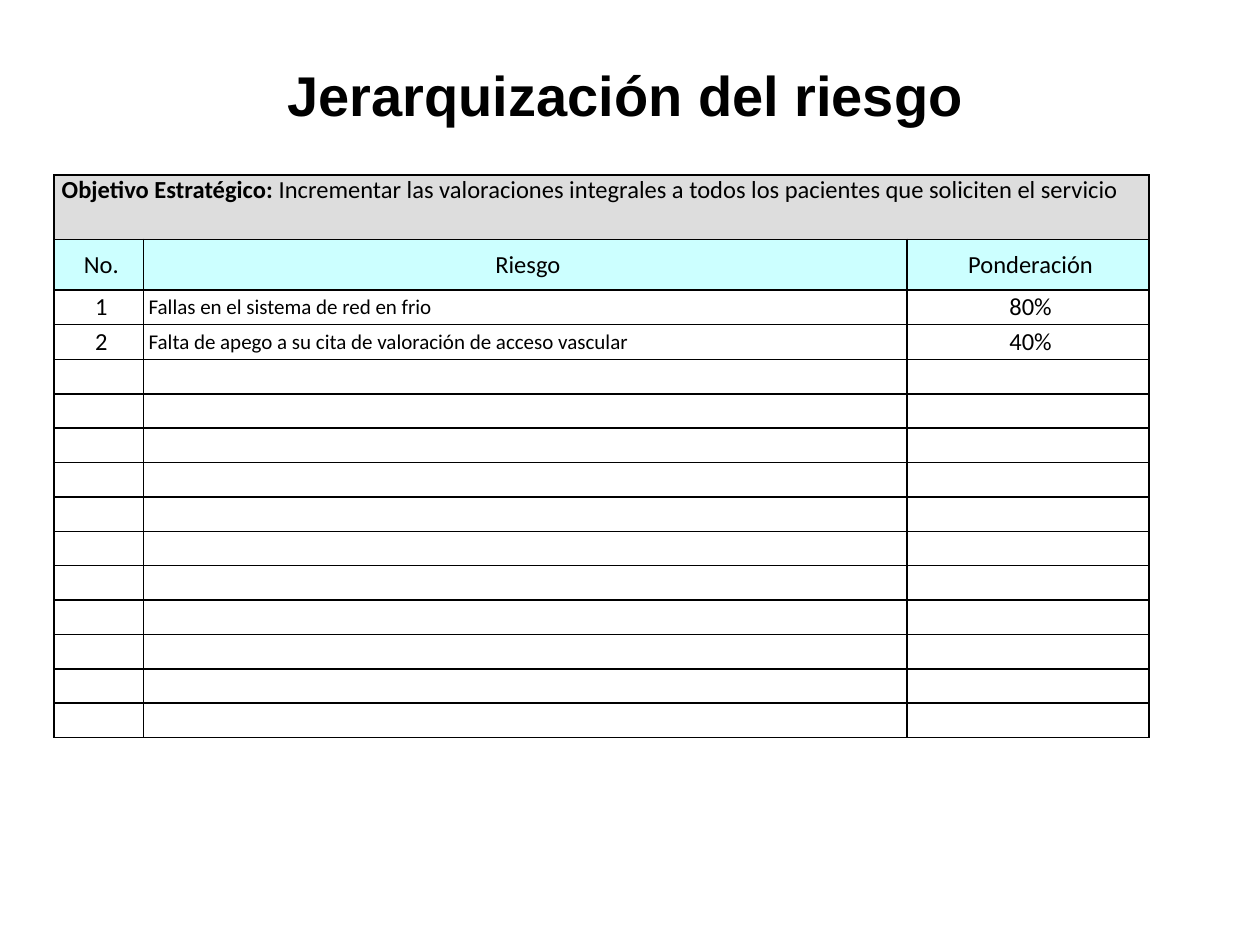
from dataclasses import dataclass

from lxml.etree import SubElement
from pptx import Presentation
from pptx.dml.color import RGBColor as RGB
from pptx.enum.text import MSO_ANCHOR as Anchor, PP_ALIGN as Align
from pptx.oxml.ns import qn
from pptx.util import Inches, Pt

TITLE = "Jerarquización del riesgo"
OBJECTIVE = (
    ("Objetivo Estratégico: ", True),
    ("Incrementar las valoraciones integrales a todos los pacientes "
     "que soliciten el servicio", False),
)
HEADINGS = ("No.", "Riesgo", "Ponderación")
RISKS = [
    ("1", "Fallas en el sistema de red en frio", "80%"),
    ("2", "Falta de apego a su cita de valoración de acceso vascular", "40%"),
]
EMPTY_ROWS = 11

COLUMN_WIDTHS = (0.71, 6.06, 1.92)
OBJECTIVE_HEIGHT, HEADING_HEIGHT, RISK_HEIGHT = 0.51, 0.4, 0.273
TABLE_LEFT, TABLE_TOP = 0.43, 1.39
CENTRED_INSETS = (0.06, 0.02, 0.02, 0.02)
RISK_INSETS = (0.04, 0.02, 0.04, 0.02)


@dataclass(frozen=True)
class Theme:
    ink: RGB = RGB(0, 0, 0)
    objective_fill: RGB = RGB(0xDD, 0xDD, 0xDD)
    heading_fill: RGB = RGB(0xCC, 0xFF, 0xFF)
    title_font: str = "Arial"
    table_font: str = "Calibri"
    title_size: int = 32
    table_size: int = 14
    risk_size: int = 12
    border_width: int = 1


THEME = Theme()


def write(frame, pieces, *, size=THEME.table_size, font=THEME.table_font,
          align=Align.CENTER):
    """Fill the first paragraph with (text, bold) pieces."""
    paragraph = frame.paragraphs[0]
    paragraph.alignment = align
    for text, bold in pieces:
        run = paragraph.add_run()
        run.text = text
        run.font.name = font
        run.font.size = Pt(size)
        run.font.bold = bold
        run.font.color.rgb = THEME.ink


def add_borders(cell):
    properties = cell._tc.get_or_add_tcPr()
    for position, side in enumerate(("lnL", "lnR", "lnT", "lnB")):
        line = properties.makeelement(
            qn(f"a:{side}"), {"w": str(Pt(THEME.border_width))})
        fill = SubElement(line, qn("a:solidFill"))
        SubElement(fill, qn("a:srgbClr"), val=str(THEME.ink))
        properties.insert(position, line)


def format_cell(cell, insets, fill=None, anchor=Anchor.MIDDLE):
    (cell.margin_left, cell.margin_top,
     cell.margin_right, cell.margin_bottom) = map(Inches, insets)
    cell.vertical_anchor = anchor
    if fill is None:
        cell.fill.background()
    else:
        cell.fill.solid()
        cell.fill.fore_color.rgb = fill
    add_borders(cell)


def keep_row_low(cell):
    """Give an empty cell a small type size so that its row does not grow."""
    end = SubElement(cell.text_frame.paragraphs[0]._p, qn("a:endParaRPr"))
    end.set("sz", str(THEME.risk_size * 100))


def add_title(slide):
    box = slide.shapes.add_textbox(
        Inches(2.09), Inches(0.43), Inches(5.75), Inches(0.64))
    box.text_frame.word_wrap = True
    write(box.text_frame, [(TITLE, True)],
          size=THEME.title_size, font=THEME.title_font)


def add_risk_table(slide):
    body = RISKS + [("",) * len(HEADINGS)] * EMPTY_ROWS
    heights = [OBJECTIVE_HEIGHT, HEADING_HEIGHT] + [RISK_HEIGHT] * len(body)
    table = slide.shapes.add_table(
        len(heights), len(HEADINGS), Inches(TABLE_LEFT), Inches(TABLE_TOP),
        Inches(sum(COLUMN_WIDTHS)), Inches(sum(heights))).table
    table.first_row = table.horz_banding = False
    for column, width in zip(table.columns, COLUMN_WIDTHS):
        column.width = Inches(width)
    for row, height in zip(table.rows, heights):
        row.height = Inches(height)

    objective = table.cell(0, 0)
    objective.merge(table.cell(0, len(HEADINGS) - 1))
    for cell in table.rows[0].cells:
        format_cell(cell, (0.06, 0, 0.02, 0), THEME.objective_fill, Anchor.TOP)
    write(objective.text_frame, OBJECTIVE, align=Align.LEFT)

    for r, texts in enumerate([HEADINGS] + body, start=1):
        for c, text in enumerate(texts):
            cell = table.cell(r, c)
            is_risk = r > 1 and c == 1
            format_cell(cell, RISK_INSETS if is_risk else CENTRED_INSETS,
                        THEME.heading_fill if r == 1 else None)
            if not text:
                keep_row_low(cell)
            elif is_risk:
                write(cell.text_frame, [(text, False)],
                      size=THEME.risk_size, align=Align.LEFT)
            else:
                write(cell.text_frame, [(text, False)])


def main():
    deck = Presentation()
    deck.slide_width, deck.slide_height = Inches(10), Inches(7.5)
    slide = deck.slides.add_slide(deck.slide_layouts[6])
    add_risk_table(slide)
    add_title(slide)
    deck.save("out.pptx")


if __name__ == "__main__":
    main()
